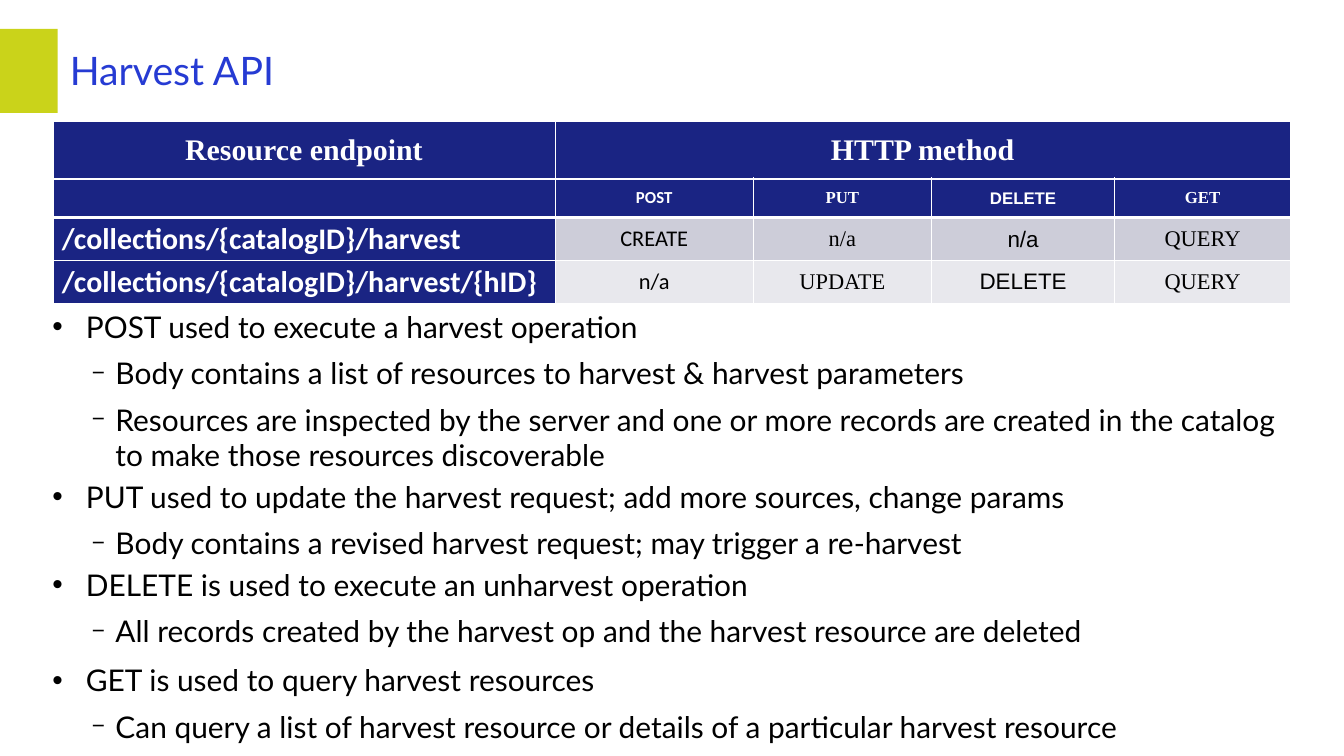
from pptx import Presentation
from pptx.dml.color import RGBColor
from pptx.enum.shapes import MSO_SHAPE
from pptx.enum.text import MSO_ANCHOR, PP_ALIGN
from pptx.oxml.ns import qn
from pptx.util import Pt
from lxml.etree import SubElement

PX = 9144

LIME = RGBColor(0xCA, 0xD3, 0x1A)
BLUE = RGBColor(0x26, 0x3B, 0xD3)
NAVY = RGBColor(0x1A, 0x24, 0x83)
GREY = RGBColor(0xCD, 0xCD, 0xD9)
PALE = RGBColor(0xE8, 0xE8, 0xED)
WHITE = RGBColor(0xFF, 0xFF, 0xFF)
BLACK = RGBColor(0, 0, 0)

TITLE = "Harvest API"
ENDPOINT_ROWS = [
    ["Resource endpoint", "HTTP method", "", "", ""],
    ["", "POST", "PUT", "DELETE", "GET"],
    ["/collections/{catalogID}/harvest", "CREATE", "n/a", "n/a", "QUERY"],
    ["/collections/{catalogID}/harvest/{hID}", "n/a", "UPDATE", "DELETE", "QUERY"],
]
COLUMN_WIDTHS = [747, 295, 265, 273, 261]
ROW_HEIGHTS = [85, 58, 64, 64]
COLUMN_FONTS = ["Calibri", "Calibri", "Times New Roman", "Arial", "Times New Roman"]
ROW_SIZES = [32, 18, 24, 24]
ROW_FILLS = [NAVY, NAVY, GREY, PALE]

NOTES = [
    (0, 0, "POST used to execute a harvest operation"),
    (1, 11.3, "Body contains a list of resources to harvest & harvest parameters"),
    (1, 11.3, "Resources are inspected by the server and one or more records are created "
              "in the catalog to make those resources discoverable"),
    (0, 6, "PUT used to update the harvest request; add more sources, change params"),
    (1, 11.3, "Body contains a revised harvest request; may trigger a re-harvest"),
    (0, 6, "DELETE is used to execute an unharvest operation"),
    (1, 11.3, "All records created by the harvest op and the harvest resource are deleted"),
    (0, 14.2, "GET is used to query harvest resources"),
    (1, 11.3, "Can query a list of harvest resource or details of a particular harvest resource"),
]
BULLETS = [("•", 100, 50, 50), ("−", 75, 94, 35)]


def set_font(paragraph, name, size, color, bold=False):
    font = paragraph.font
    font.name, font.size, font.bold = name, Pt(size), bold
    font.color.rgb = color


def add_text_frame(slide, *box):
    frame = slide.shapes.add_textbox(*(n * PX for n in box)).text_frame
    frame.word_wrap = True
    return frame


def add_border(cell, side, points):
    line = SubElement(cell._tc.get_or_add_tcPr(), qn(f"a:{side}"), w=str(Pt(points)))
    SubElement(SubElement(line, qn("a:solidFill")), qn("a:srgbClr"), val=str(WHITE))


def add_bullet(paragraph, level):
    symbol, percent, indent, hanging = BULLETS[level]
    properties = paragraph._p.get_or_add_pPr()
    properties.set("marL", str(indent * PX))
    properties.set("indent", str(-hanging * PX))
    color = SubElement(properties, qn("a:buClr"))
    SubElement(color, qn("a:srgbClr"), val=str(BLACK))
    SubElement(properties, qn("a:buSzPct"), val=str(percent * 1000))
    SubElement(properties, qn("a:buFont"), typeface="Arial")
    SubElement(properties, qn("a:buChar"), char=symbol)


def add_title(slide):
    accent = slide.shapes.add_shape(MSO_SHAPE.RECTANGLE, 0, 43 * PX, 86 * PX, 125 * PX)
    accent.shadow.inherit = False
    accent.fill.solid()
    accent.fill.fore_color.rgb = LIME
    accent.line.fill.background()

    frame = add_text_frame(slide, 94, 61, 1840, 100)
    frame.vertical_anchor = MSO_ANCHOR.MIDDLE
    heading = frame.paragraphs[0]
    heading.text = TITLE
    heading.line_spacing = Pt(41)
    set_font(heading, "Lato", 42, BLUE)


def add_endpoints(slide):
    table = slide.shapes.add_table(
        len(ROW_HEIGHTS), len(COLUMN_WIDTHS), 79 * PX, 181 * PX,
        sum(COLUMN_WIDTHS) * PX, sum(ROW_HEIGHTS) * PX).table
    for column, width in zip(table.columns, COLUMN_WIDTHS):
        column.width = width * PX
    for row, height in zip(table.rows, ROW_HEIGHTS):
        row.height = height * PX
    table.cell(0, 1).merge(table.cell(0, 4))

    for r, labels in enumerate(ENDPOINT_ROWS):
        for c, label in enumerate(labels):
            cell = table.cell(r, c)
            is_endpoint = r > 1 and c == 0
            is_header = r < 2 or c == 0
            cell.margin_left = cell.margin_right = 13 * PX
            cell.margin_top = cell.margin_bottom = 5 * PX
            cell.vertical_anchor = MSO_ANCHOR.MIDDLE
            add_border(cell, "lnL", 1)
            add_border(cell, "lnR", 1)
            add_border(cell, "lnT", 3 if r in (1, 2) else 1)
            add_border(cell, "lnB", 3 if r < 2 else 1)
            cell.fill.solid()
            cell.fill.fore_color.rgb = NAVY if is_header else ROW_FILLS[r]
            if label:
                paragraph = cell.text_frame.paragraphs[0]
                paragraph.text = label
                paragraph.alignment = PP_ALIGN.LEFT if is_endpoint else PP_ALIGN.CENTER
                set_font(paragraph, "Times New Roman" if r == 0 else COLUMN_FONTS[c],
                         32 if is_endpoint else ROW_SIZES[r],
                         WHITE if is_header else BLACK, is_header)


def add_notes(slide):
    frame = add_text_frame(slide, 68, 454, 1888, 640)
    for i, (level, space, text) in enumerate(NOTES):
        paragraph = frame.add_paragraph() if i else frame.paragraphs[0]
        paragraph.text = text
        paragraph.level = level
        if space:
            paragraph.space_before = Pt(space)
        add_bullet(paragraph, level)
        set_font(paragraph, "Lato", 32, BLACK)


def main():
    deck = Presentation()
    deck.slide_width, deck.slide_height = 2000 * PX, 1125 * PX
    slide = deck.slides.add_slide(deck.slide_layouts[6])
    add_title(slide)
    add_endpoints(slide)
    add_notes(slide)
    deck.save("out.pptx")


if __name__ == "__main__":
    main()
